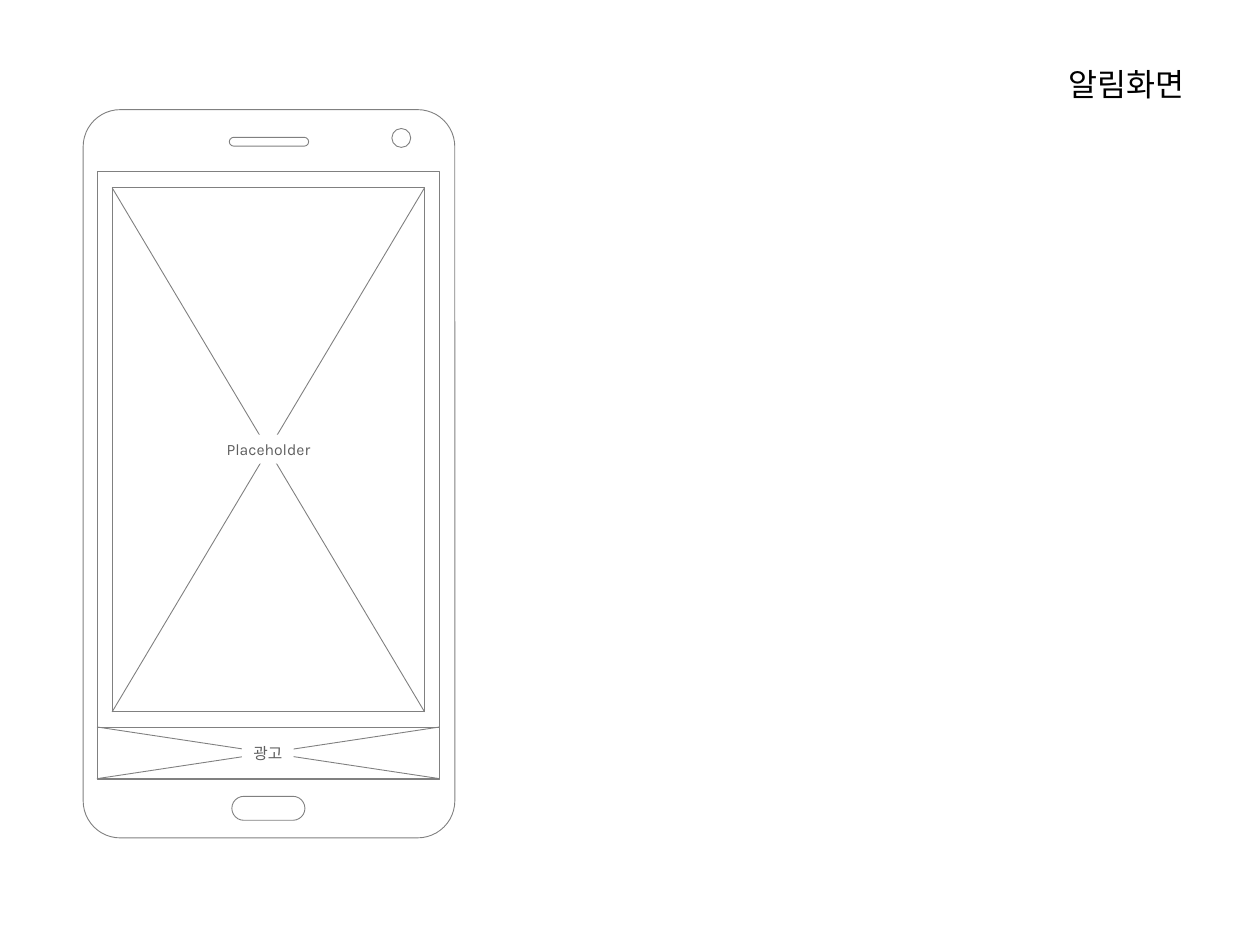
from dataclasses import dataclass

from lxml import etree
from pptx import Presentation
from pptx.dml.color import RGBColor
from pptx.enum.shapes import MSO_CONNECTOR, MSO_SHAPE
from pptx.enum.text import MSO_ANCHOR, MSO_AUTO_SIZE, PP_ALIGN
from pptx.oxml.ns import qn
from pptx.util import Inches, Pt

RECTANGLE = MSO_SHAPE.RECTANGLE
ROUNDED = MSO_SHAPE.ROUNDED_RECTANGLE
OVAL = MSO_SHAPE.OVAL
STRAIGHT = MSO_CONNECTOR.STRAIGHT
MIDDLE = MSO_ANCHOR.MIDDLE
FIT_SHAPE = MSO_AUTO_SIZE.SHAPE_TO_FIT_TEXT
CENTER, RIGHT = PP_ALIGN.CENTER, PP_ALIGN.RIGHT


@dataclass(frozen=True)
class Theme:
    paper: RGBColor = RGBColor(0xFF, 0xFF, 0xFF)
    outline: RGBColor = RGBColor(0x80, 0x80, 0x80)
    label: RGBColor = RGBColor(0x5F, 0x5F, 0x5F)
    title: RGBColor = RGBColor(0, 0, 0)
    label_font: str = "Karla"
    title_font: str = "Calibri"
    label_size: float = 9
    title_size: float = 18
    line_width: float = 0.5


THEME = Theme()


def set_format(target, values):
    for name, value in values.items():
        setattr(target, name, value)


def style_line(line):
    line.color.rgb = THEME.outline
    line.width = Pt(THEME.line_width)


def add_outline(page, kind, area, radius=None, outlined=True):
    """Draw a white preset shape; radius is a share of its shorter side."""
    shape = page.shapes.add_shape(kind, *map(Inches, area))
    shape.shadow.inherit = False
    shape.fill.solid()
    shape.fill.fore_color.rgb = THEME.paper
    if outlined:
        style_line(shape.line)
    else:
        shape.line.fill.background()
    if radius is not None:
        shape.adjustments[0] = radius
    return shape


def add_diagonal(page, start, end):
    line = page.shapes.add_connector(STRAIGHT, *map(Inches, start + end))
    style_line(line.line)
    etree.SubElement(line._element.spPr, qn("a:effectLst"))


def write_text(box, text, align, font, frame):
    set_format(box.text_frame, {"word_wrap": False, "auto_size": FIT_SHAPE, **frame})
    para = box.text_frame.paragraphs[0]
    para.alignment = align
    span = para.add_run()
    span.text = text
    span.font.color.rgb = font["color"]
    set_format(span.font, {"name": font["name"], "size": Pt(font["size"])})


def add_placeholder(page, area, label, label_area):
    """Draw a crossed box with a label over its centre."""
    left, top, width, height = area
    right, bottom = left + width, top + height
    add_outline(page, RECTANGLE, area)
    add_diagonal(page, (left, bottom), (right, top))
    add_diagonal(page, (right, bottom), (left, top))
    box = add_outline(page, RECTANGLE, label_area, outlined=False)
    font = {"name": THEME.label_font, "size": THEME.label_size, "color": THEME.label}
    side, edge = Inches(0.08), Inches(0.04)
    write_text(box, label, CENTER, font, {
        "vertical_anchor": MIDDLE,
        "margin_left": side, "margin_right": side,
        "margin_top": edge, "margin_bottom": edge,
    })


def add_phone(page):
    add_outline(page, ROUNDED, (0.66, 0.87, 2.95, 5.78), 0.1)    # body
    add_outline(page, ROUNDED, (1.84, 6.32, 0.58, 0.19), 0.5)    # home button
    add_outline(page, OVAL, (3.11, 1.02, 0.15, 0.15))            # camera
    add_outline(page, ROUNDED, (1.82, 1.09, 0.63, 0.07), 0.5)    # speaker
    add_outline(page, RECTANGLE, (0.77, 1.36, 2.72, 4.83))       # screen


def add_title(page, text):
    box = page.shapes.add_textbox(*map(Inches, (8.29, 0.47, 1.21, 0.4)))
    font = {"name": THEME.title_font, "size": THEME.title_size, "color": THEME.title}
    write_text(box, text, RIGHT, font, {})


def main():
    deck = Presentation()
    set_format(deck, {"slide_width": Inches(10), "slide_height": Inches(7.5)})
    page = deck.slides.add_slide(deck.slide_layouts[6])

    # Phone with its main content
    add_phone(page)
    add_placeholder(page, (0.89, 1.49, 2.48, 4.16), "Placeholder",
                    (1.22, 3.45, 1.82, 0.23))

    # Screen name
    add_title(page, "알림화면")

    # Advertisement banner
    add_placeholder(page, (0.77, 5.77, 2.72, 0.41), "광고",
                    (1.92, 5.87, 0.41, 0.21))

    deck.save("out.pptx")


main()
